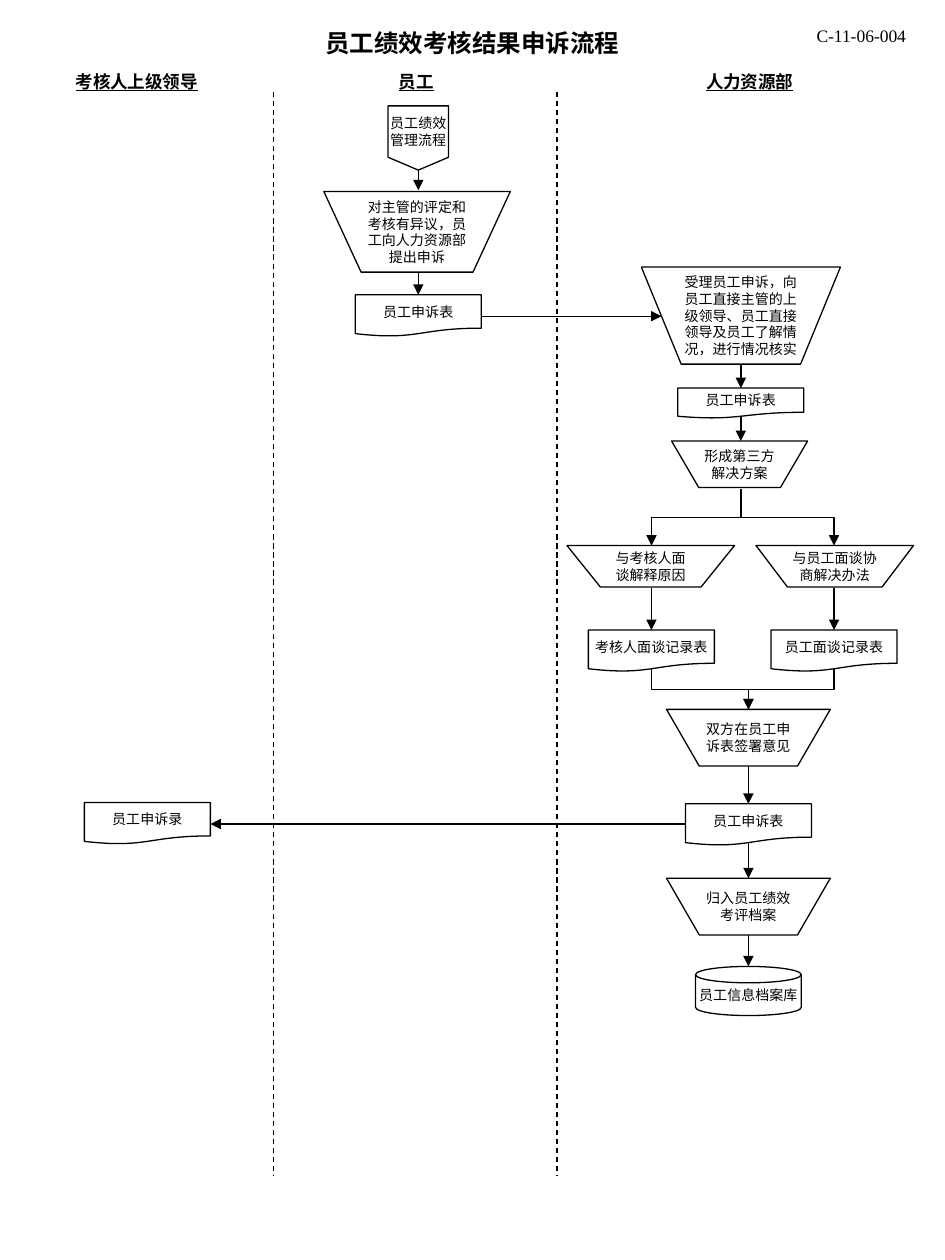
from lxml import etree
from pptx import Presentation
from pptx.dml.color import RGBColor
from pptx.enum.dml import MSO_LINE
from pptx.enum.shapes import MSO_CONNECTOR, MSO_SHAPE
from pptx.enum.text import MSO_ANCHOR, PP_ALIGN
from pptx.oxml.ns import qn
from pptx.util import Inches, Pt

STEP = MSO_SHAPE.FLOWCHART_MANUAL_OPERATION
FORM = MSO_SHAPE.FLOWCHART_DOCUMENT
DISK = MSO_SHAPE.FLOWCHART_MAGNETIC_DISK
PAGE = MSO_SHAPE.FLOWCHART_OFFPAGE_CONNECTOR
STRAIGHT, ELBOW = MSO_CONNECTOR.STRAIGHT, MSO_CONNECTOR.ELBOW
DASH = MSO_LINE.DASH
MIDDLE, TOP = MSO_ANCHOR.MIDDLE, MSO_ANCHOR.TOP
CENTER = PP_ALIGN.CENTER
BLACK = "000000"
SERIF, SANS = "Times New Roman", "Noto Sans CJK SC"

HEADS = [
    ("考核人上级领导", 0.5, 1.17),
    ("员工", 2.83, 0.95),
    ("人力资源部", 5.42, 1.06),
]
STEPS = [
    ("对主管的评定和考核有异议，员工向人力资源部提出申诉", 2.57, 1.52, 1.48, 0.64, SANS),
    ("受理员工申诉，向员工直接主管的上级领导、员工直接领导及员工了解情况，进行情况核实",
     5.09, 2.12, 1.58, 0.77, SANS),
    ("形成第三方解决方案", 5.33, 3.5, 1.08, 0.37, SANS),
    ("与考核人面\n谈解释原因", 4.5, 4.33, 1.33, 0.33, SERIF),
    ("与员工面谈协商解决办法", 6, 4.33, 1.25, 0.33, SERIF),
    ("双方在员工申诉表签署意见", 5.29, 5.63, 1.3, 0.45, SERIF),
    ("归入员工绩效考评档案", 5.29, 6.97, 1.3, 0.45, SERIF),
]
FORMS = [
    ("员工申诉表", 2.82, 2.34, 0.33),
    ("员工申诉表", 5.38, 3.08, 0.24),
    ("考核人面谈记录表", 4.67, 5, 0.33),
    ("员工面谈记录表", 6.12, 5, 0.33),
    ("员工申诉表", 5.44, 6.38, 0.33),
    ("员工申诉录", 0.67, 6.37, 0.33),
]
DROPS = [
    (3.32, 1.35, 1.51), (3.32, 2.16, 2.34), (5.88, 2.9, 3.08),
    (5.88, 3.31, 3.5), (5.17, 4.67, 5), (6.62, 4.67, 5),
    (5.94, 6.08, 6.38), (5.94, 6.68, 6.97), (5.94, 7.42, 7.67),
]
BENDS = [
    (5.88, 3.88, 5.17, 4.33), (5.88, 3.88, 6.62, 4.33),
    (5.17, 5.31, 5.94, 5.63), (6.62, 5.31, 5.94, 5.63),
]


def paint(color, hue):
    """Set a colour format from a hex string."""
    color.rgb = RGBColor.from_string(hue)


def write(shape, text, size, face=SERIF, pad=(0, 0), wrap=True,
          anchor=MIDDLE, bold=False, under=False):
    """Fill a shape with centred text."""
    frame = shape.text_frame
    frame.text = text
    frame.word_wrap = wrap
    frame.vertical_anchor = anchor
    frame.margin_left = frame.margin_right = Inches(pad[0])
    frame.margin_top = frame.margin_bottom = Inches(pad[1])
    for para in frame.paragraphs:
        para.alignment = CENTER
        font = para.font
        font.size, font.name = Pt(size), face
        font.bold, font.underline = bold, under
        paint(font.color, BLACK)


def label(slide, text, x, y, w, h, size, **style):
    """Add a text box."""
    box = slide.shapes.add_textbox(Inches(x), Inches(y), Inches(w), Inches(h))
    write(box, text, size, **style)


def node(slide, kind, text, x, y, w, h, **style):
    """Add an outlined flowchart shape."""
    shape = slide.shapes.add_shape(kind, Inches(x), Inches(y), Inches(w), Inches(h))
    shape.shadow.inherit = False
    shape.fill.background()
    paint(shape.line.color, BLACK)
    shape.line.width = Pt(0.75)
    write(shape, text, 8, **style)


def link(slide, x1, y1, x2, y2, kind=STRAIGHT, arrow=True):
    """Add a connector, with an arrowhead unless told otherwise."""
    line = slide.shapes.add_connector(kind, Inches(x1), Inches(y1), Inches(x2), Inches(y2))
    paint(line.line.color, BLACK)
    line.line.width = Pt(0.75)
    if arrow:
        etree.SubElement(line.line._get_or_add_ln(), qn("a:tailEnd"), type="triangle")
    etree.SubElement(line._element.spPr, qn("a:effectLst"))
    return line


def bend(slide, x1, y1, x2, y2):
    """Add an elbow arrow that leaves and arrives vertically."""
    side = 1 if x2 < x1 else -1
    mx, my = (x1 + x2) / 2, (y1 + y2) / 2
    dx, dy = side * (y2 - y1) / 2, abs(x2 - x1) / 2
    line = link(slide, mx - dx, my - dy, mx + dx, my + dy, ELBOW)
    turn = 90 if side == 1 else 270
    line._element.spPr.find(qn("a:xfrm")).set("rot", str(turn * 60000))


def main():
    """Build the appeal process slide."""
    deck = Presentation()
    deck.slide_width, deck.slide_height = Inches(7.5), Inches(10)
    slide = deck.slides.add_slide(deck.slide_layouts[6])

    label(slide, "员工绩效考核结果申诉流程", 0, 0.17, 7.5, 0.34, 14,
          pad=(0.1, 0.05), anchor=TOP, bold=True)
    label(slide, "C-11-06-004", 6.38, 0.15, 0.91, 0.27, 10,
          pad=(0.1, 0.05), anchor=TOP, wrap=False)
    for text, x, w in HEADS:
        label(slide, text, x, 0.54, w, 0.21, 10, pad=(0.02, 0.02), bold=True, under=True)
    for x in (2.17, 4.42):
        link(slide, x, 0.73, x, 9.33, arrow=False).line.dash_style = DASH

    node(slide, PAGE, "员工绩效管理流程", 3.08, 0.84, 0.48, 0.51, pad=(0, 0.05))
    for text, x, y, w, h, face in STEPS:
        node(slide, STEP, text, x, y, w, h, face=face, pad=(0, 0.05))
    for text, x, y, h in FORMS:
        node(slide, FORM, text, x, y, 1, h, wrap=False)
    node(slide, DISK, "员工信息档案库", 5.52, 7.67, 0.84, 0.39, wrap=False)

    for x, top, end in DROPS:
        link(slide, x, top, x, end)
    for ends in BENDS:
        bend(slide, *ends)
    link(slide, 3.82, 2.51, 5.25, 2.51)
    link(slide, 5.44, 6.54, 1.67, 6.54)
    deck.save("out.pptx")


if __name__ == "__main__":
    main()
